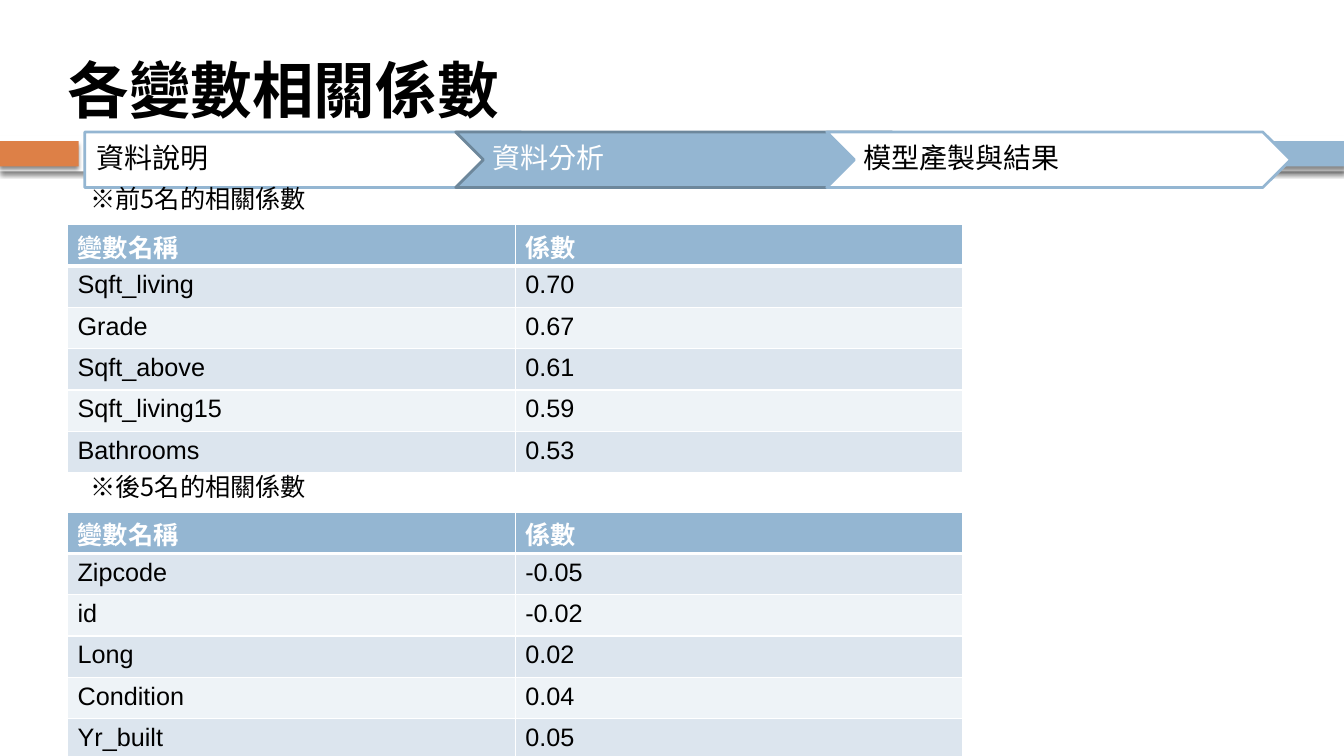
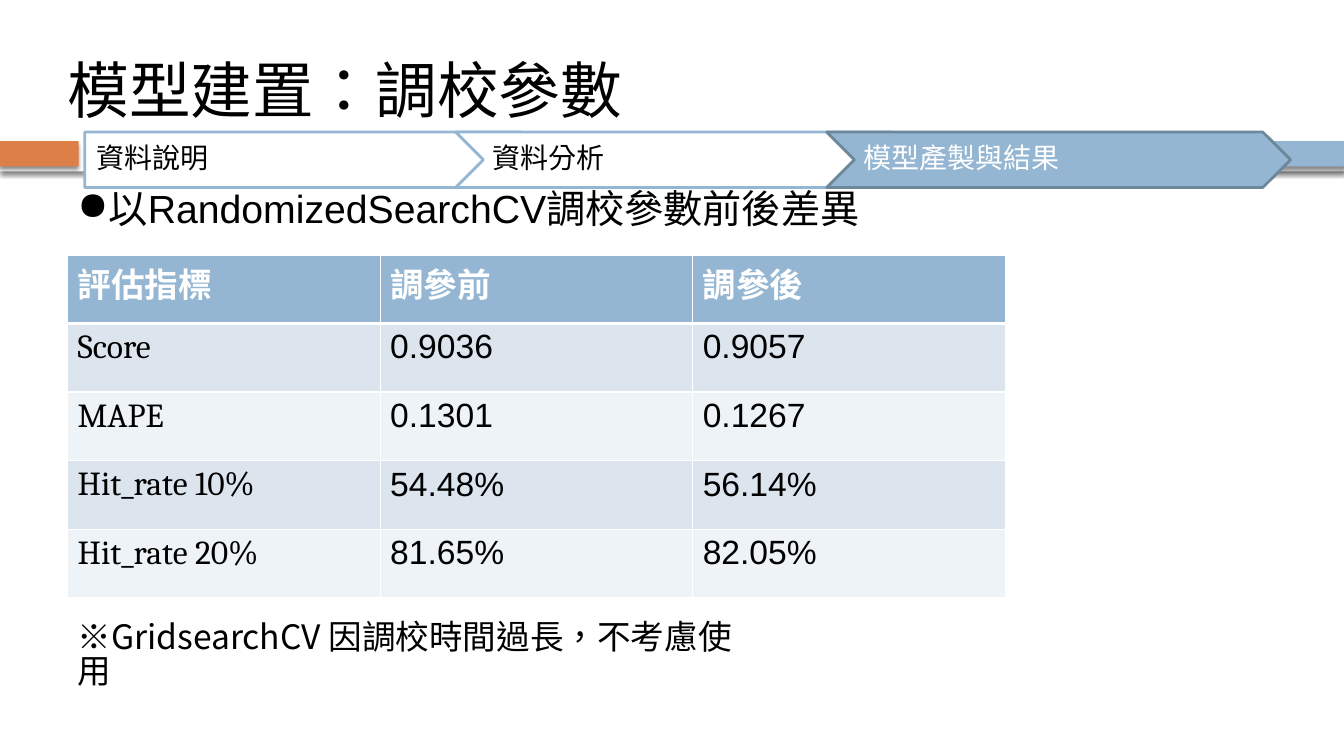
from dataclasses import dataclass

from lxml.etree import SubElement
from pptx import Presentation
from pptx.dml.color import RGBColor
from pptx.enum.lang import MSO_LANGUAGE_ID
from pptx.enum.shapes import MSO_SHAPE
from pptx.enum.text import MSO_ANCHOR, PP_ALIGN
from pptx.oxml.ns import qn
from pptx.util import Emu, Pt

PX = 9144  # EMU per px, 100 px to the inch


@dataclass(frozen=True)
class Theme:
    # Colours
    ink: str = "000000"
    paper: str = "FFFFFF"
    blue: str = "94B6D2"
    blue_edge: str = "6D879B"
    orange: str = "DD8047"
    stripes: tuple = ("DCE5EE", "EEF3F7")
    # Fonts
    sans: str = "Arial"
    serif: str = "Cambria"
    cjk: str = "Noto Sans CJK SC"
    # Type sizes
    title: int = 44
    bullet: int = 28
    large: int = 24
    step: int = 20
    small: int = 18


THEME = Theme()
STEPS = ("資料說明", "資料分析", "模型產製與結果")


def px(length):
    return Emu(length * PX)


def rgb(value):
    return RGBColor.from_string(value)


def write(frame, text, size, font=THEME.cjk, color=THEME.ink, bold=False,
          spacing=1.0, anchor=MSO_ANCHOR.TOP, insets=(10, 5, 10, 5), bullet=None):
    """Put one formatted paragraph into a text frame."""
    frame.word_wrap = True
    frame.vertical_anchor = anchor
    (frame.margin_left, frame.margin_top,
     frame.margin_right, frame.margin_bottom) = map(px, insets)
    paragraph = frame.paragraphs[0]
    paragraph.alignment = PP_ALIGN.LEFT
    paragraph.line_spacing = spacing
    if bullet:
        properties = paragraph._p.get_or_add_pPr()
        properties.set("marL", str(px(31)))
        properties.set("indent", str(px(-31)))
        SubElement(properties, qn("a:buChar"), char=bullet)
    run = paragraph.add_run()
    run.text = text
    run.font.size = Pt(size)
    run.font.bold = bold
    run.font.color.rgb = rgb(color)
    run.font.name = font
    run.font.language_id = MSO_LANGUAGE_ID.TRADITIONAL_CHINESE
    SubElement(run._r.get_or_add_rPr(), qn("a:ea"), typeface=THEME.cjk)


def add_shadow(shape):
    effects = SubElement(shape._element.spPr, qn("a:effectLst"))
    shadow = SubElement(effects, qn("a:outerShdw"), blurRad=str(Pt(3)),
                        dist=str(Pt(2.4)), dir="5400000", rotWithShape="0")
    color = SubElement(shadow, qn("a:srgbClr"), val=THEME.ink)
    SubElement(color, qn("a:alpha"), val="45000")


def add_borders(cell, top, bottom):
    properties = cell._tc.get_or_add_tcPr()
    for side, width in (("L", 1), ("R", 1), ("T", top), ("B", bottom)):
        line = SubElement(properties, qn(f"a:ln{side}"), w=str(Pt(width)))
        fill = SubElement(line, qn("a:solidFill"))
        SubElement(fill, qn("a:srgbClr"), val=THEME.paper)


class Deck:
    def __init__(self, theme):
        self.theme = theme
        self.show = Presentation()
        self.show.slide_width, self.show.slide_height = px(1333), px(750)
        self.slide = None

    def start(self, title, active, bold=False):
        """Open a slide with its bands, title and progress steps."""
        self.slide = self.show.slides.add_slide(self.show.slide_layouts[6])
        self.band(0, 135, 1333, 35, self.theme.paper)
        self.band(0, 140, 78, 25, self.theme.orange)
        self.band(86, 140, 1247, 25, self.theme.blue)
        self.text(title, 67, 30, 1200, 125, size=self.theme.title,
                  font=self.theme.sans, bold=bold, spacing=0.9,
                  anchor=MSO_ANCHOR.MIDDLE, insets=(0, 0, 0, 0))
        self.steps(active)

    def shape(self, kind, left, top, width, height, fill):
        shape = self.slide.shapes.add_shape(kind, *map(px, (left, top, width, height)))
        shape.fill.solid()
        shape.fill.fore_color.rgb = rgb(fill)
        return shape

    def band(self, left, top, width, height, fill):
        band = self.shape(MSO_SHAPE.RECTANGLE, left, top, width, height, fill)
        band.line.fill.background()
        add_shadow(band)

    def steps(self, active):
        for index, name in enumerate(STEPS):
            current = index == active
            kind, inset = (MSO_SHAPE.CHEVRON, 9) if index else (MSO_SHAPE.PENTAGON, 12)
            step = self.shape(kind, 84 + 368 * index, 131, 460, 55,
                              self.theme.blue if current else self.theme.paper)
            step.shadow.inherit = False
            step.line.color.rgb = rgb(self.theme.blue_edge if current else self.theme.blue)
            step.line.width = Pt(2)
            write(step.text_frame, name, self.theme.step, spacing=0.9,
                  color=self.theme.paper if current else self.theme.ink,
                  anchor=MSO_ANCHOR.MIDDLE, insets=(inset, 6, 3, 6))

    def text(self, text, left, top, width, height, **style):
        box = self.slide.shapes.add_textbox(*map(px, (left, top, width, height)))
        write(box.text_frame, text, **style)

    def table(self, rows, top, column_width, row_height, size, label_font):
        count = len(rows[0])
        table = self.slide.shapes.add_table(
            len(rows), count, px(67), px(top),
            px(column_width * count), px(row_height * len(rows))).table
        for column in table.columns:
            column.width = px(column_width)
        for r, values in enumerate(rows):
            table.rows[r].height = px(row_height)
            header = r == 0
            for c, value in enumerate(values):
                cell = table.cell(r, c)
                add_borders(cell, top=3 if r == 1 else 1, bottom=3 if header else 1)
                cell.fill.solid()
                cell.fill.fore_color.rgb = rgb(
                    self.theme.blue if header else self.theme.stripes[(r - 1) % 2])
                write(cell.text_frame, value, size, bold=header,
                      font=self.theme.sans if header or c else label_font,
                      color=self.theme.paper if header else self.theme.ink,
                      spacing=0.95 if header else 1.0)


def main():
    deck = Deck(THEME)

    # Correlation coefficients: five highest and five lowest
    deck.start("各變數相關係數", active=1, bold=True)
    heading = ("變數名稱", "係數")
    highest = (("Sqft_living", "0.70"), ("Grade", "0.67"), ("Sqft_above", "0.61"),
               ("Sqft_living15", "0.59"), ("Bathrooms", "0.53"))
    lowest = (("Zipcode", "-0.05"), ("id", "-0.02"), ("Long", "0.02"),
              ("Condition", "0.04"), ("Yr_built", "0.05"))
    for caption, ranking, top in (("※前5名的相關係數", highest, 182),
                                  ("※後5名的相關係數", lowest, 467)):
        deck.table((heading, *ranking), top + 41, column_width=444, row_height=41,
                   size=THEME.small, label_font=THEME.sans)
        deck.text(caption, 80, top, 354, 40, size=THEME.small, spacing=0.85)

    # Model tuning: metrics before and after
    deck.start("模型建置：調校參數", active=2)
    metrics = (("評估指標", "調參前", "調參後"),
               ("Score", "0.9036", "0.9057"),
               ("MAPE", "0.1301", "0.1267"),
               ("Hit_rate 10%", "54.48%", "56.14%"),
               ("Hit_rate 20%", "81.65%", "82.05%"))
    deck.table(metrics, 253, column_width=310, row_height=68,
               size=THEME.large, label_font=THEME.serif)
    deck.text("以RandomizedSearchCV調校參數前後差異", 67, 183, 1127, 60,
              size=THEME.bullet, font=THEME.sans, spacing=0.9, bullet="●")
    deck.text("※GridsearchCV 因調校時間過長，不考慮使用", 67, 612, 700, 90,
              size=THEME.large, spacing=0.85)

    deck.show.save("out.pptx")


if __name__ == "__main__":
    main()
